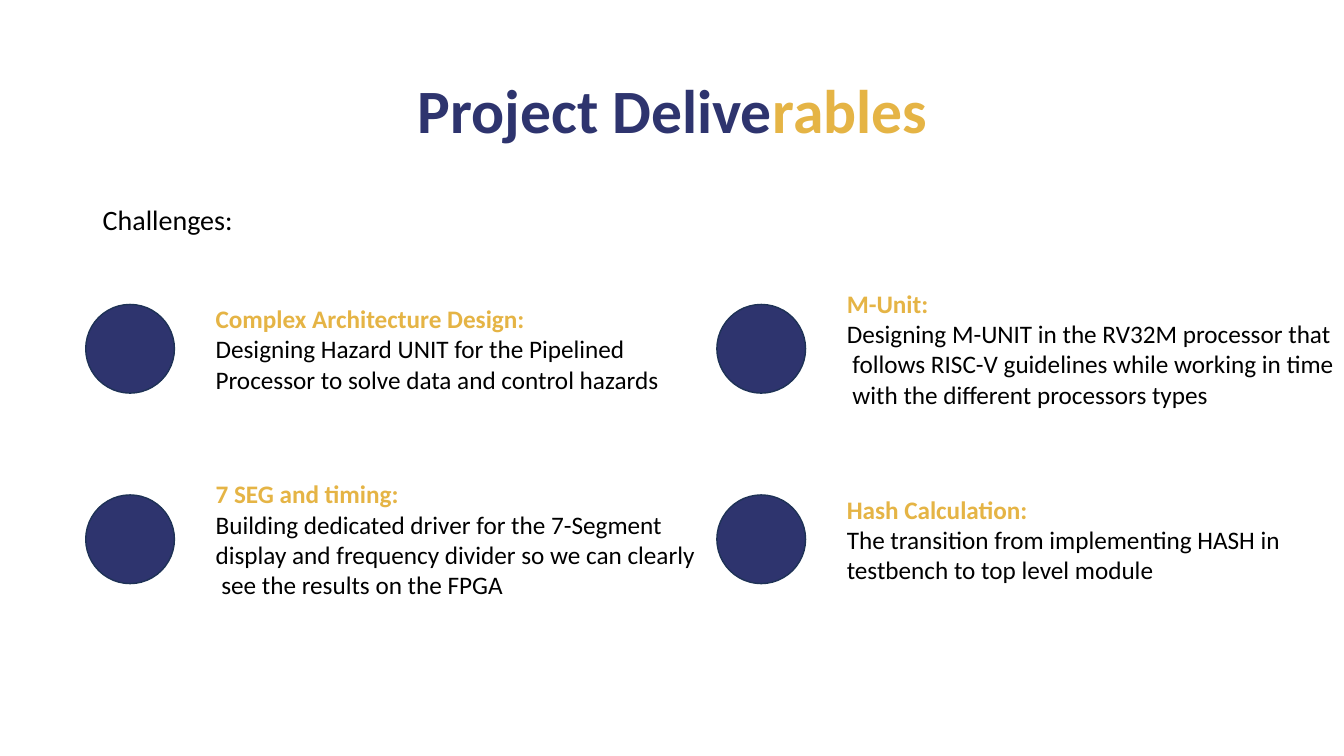
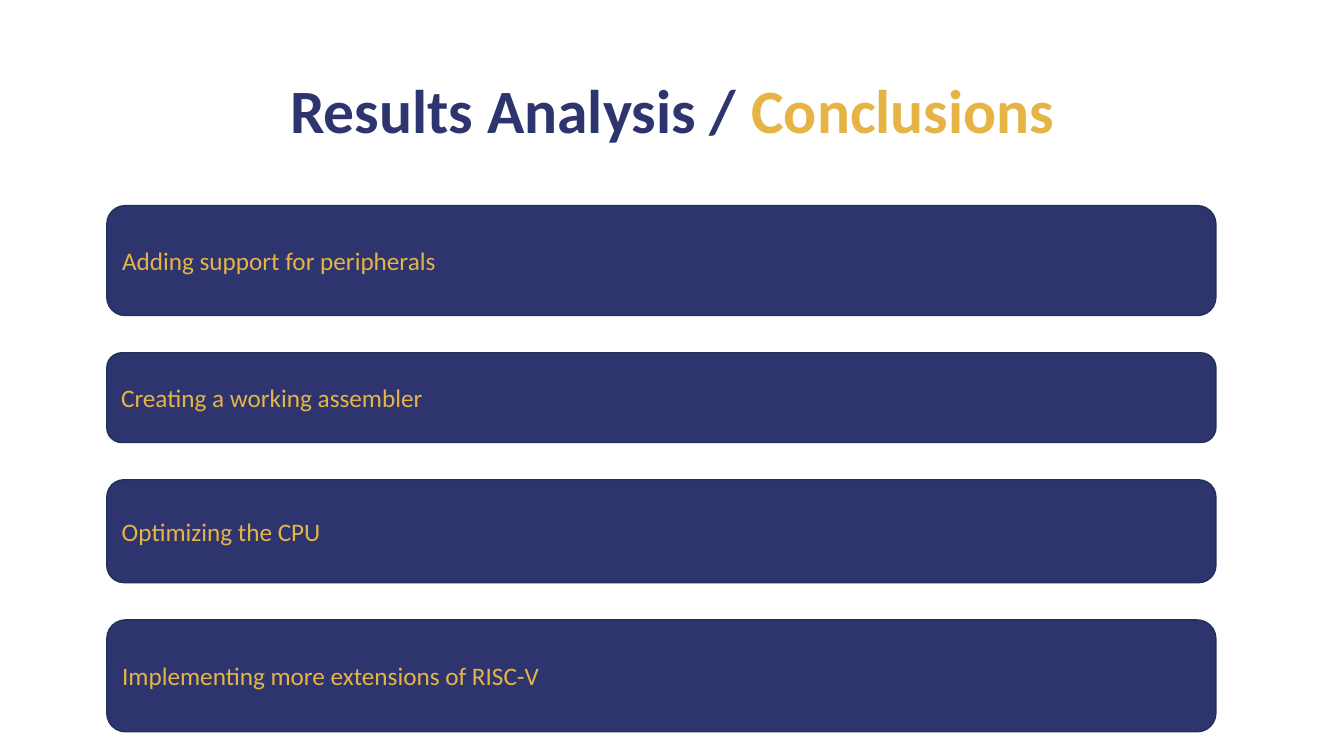
from dataclasses import dataclass

from pptx import Presentation
from pptx.dml.color import RGBColor
from pptx.enum.shapes import MSO_SHAPE
from pptx.enum.text import MSO_ANCHOR, PP_ALIGN
from pptx.shapes.autoshape import Shape
from pptx.slide import Slide
from pptx.text.text import TextFrame
from pptx.util import Inches, Pt

CIRCLE = MSO_SHAPE.OVAL
ROUNDED = MSO_SHAPE.ROUNDED_RECTANGLE
LEFT, CENTER = PP_ALIGN.LEFT, PP_ALIGN.CENTER
TOP, MIDDLE = MSO_ANCHOR.TOP, MSO_ANCHOR.MIDDLE


@dataclass(frozen=True)
class Theme:
    font: str = "Calibri"
    navy: RGBColor = RGBColor(0x2E, 0x34, 0x6E)
    outline: RGBColor = RGBColor(0x1E, 0x32, 0x56)
    gold: RGBColor = RGBColor(0xE5, 0xB4, 0x45)
    black: RGBColor = RGBColor(0, 0, 0)
    title_size: int = 44
    intro_size: int = 20
    body_size: int = 18
    outline_width: int = 1
    tight_spacing: float = 0.9


THEME = Theme()


@dataclass(frozen=True)
class Box:
    left: float
    top: float
    width: float
    height: float


@dataclass(frozen=True)
class Span:
    text: str
    color: RGBColor
    size: int = THEME.body_size
    bold: bool = False


@dataclass(frozen=True)
class Challenge:
    column: int
    row: int
    heading: str
    lines: tuple[str, ...]


@dataclass(frozen=True)
class Conclusion:
    text: str
    height: float


TITLE_BOX = Box(0.92, 0.4, 11.5, 1.45)
INTRO_BOX = Box(0.92, 2, 11.5, 0.5)

CIRCLE_SIZE = 0.88
GRID_LEFT, GRID_TOP = 0.85, 3.02
COLUMN_STEP, ROW_STEP = 6.26, 1.89
CAPTION_OFFSET, CAPTION_WIDTH = 1.19, 5.02
CAPTION_PADDING, LINE_HEIGHT = 0.1, 0.3

BAR_LEFT, BAR_TOP, BAR_WIDTH, BAR_GAP = 1.06, 2.04, 11, 0.37

CHALLENGES = (
    Challenge(0, 0, "Complex Architecture Design:", (
        "Designing Hazard UNIT for the Pipelined",
        "Processor to solve data and control hazards",
    )),
    Challenge(0, 1, "7 SEG and timing:", (
        "Building dedicated driver for the 7-Segment",
        "display and frequency divider so we can clearly",
        " see the results on the FPGA",
    )),
    Challenge(1, 0, "M-Unit:", (
        "Designing M-UNIT in the RV32M processor that",
        " follows RISC-V guidelines while working in time",
        " with the different processors types",
    )),
    Challenge(1, 1, "Hash Calculation:", (
        "The transition from implementing HASH in",
        "testbench to top level module",
    )),
)

CONCLUSIONS = (
    Conclusion("Adding support for peripherals", 1.09),
    Conclusion("Creating a working assembler", 0.89),
    Conclusion("Optimizing the CPU", 1.02),
    Conclusion("Implementing more extensions of RISC-V", 1.11),
)


def write(frame: TextFrame, paragraphs: list[list[Span]], anchor: MSO_ANCHOR = MIDDLE,
          align: PP_ALIGN = LEFT, spacing: float = 1.0) -> None:
    frame.word_wrap = True
    frame.vertical_anchor = anchor
    for index, spans in enumerate(paragraphs):
        paragraph = frame.add_paragraph() if index else frame.paragraphs[0]
        paragraph.alignment = align
        paragraph.line_spacing = spacing
        for span in spans:
            run = paragraph.add_run()
            run.text = span.text
            run.font.name = THEME.font
            run.font.size = Pt(span.size)
            run.font.bold = span.bold
            run.font.color.rgb = span.color


def add_text(slide: Slide, box: Box) -> TextFrame:
    return slide.shapes.add_textbox(
        Inches(box.left), Inches(box.top), Inches(box.width), Inches(box.height)
    ).text_frame


def add_navy_shape(slide: Slide, kind: MSO_SHAPE, box: Box) -> Shape:
    shape = slide.shapes.add_shape(
        kind, Inches(box.left), Inches(box.top), Inches(box.width), Inches(box.height)
    )
    shape.shadow.inherit = False
    shape.fill.solid()
    shape.fill.fore_color.rgb = THEME.navy
    shape.line.color.rgb = THEME.outline
    shape.line.width = Pt(THEME.outline_width)
    return shape


def add_titled_slide(deck: Presentation, navy_part: str, gold_part: str) -> Slide:
    slide = deck.slides.add_slide(deck.slide_layouts[6])
    title = [
        Span(navy_part, THEME.navy, THEME.title_size, True),
        Span(gold_part, THEME.gold, THEME.title_size, True),
    ]
    write(add_text(slide, TITLE_BOX), [title], align=CENTER, spacing=THEME.tight_spacing)
    return slide


def add_challenge(slide: Slide, challenge: Challenge) -> None:
    left = GRID_LEFT + challenge.column * COLUMN_STEP
    top = GRID_TOP + challenge.row * ROW_STEP
    add_navy_shape(slide, CIRCLE, Box(left, top, CIRCLE_SIZE, CIRCLE_SIZE))

    height = CAPTION_PADDING + LINE_HEIGHT * (1 + len(challenge.lines))
    caption_top = top + (CIRCLE_SIZE - height) / 2
    caption = add_text(slide, Box(left + CAPTION_OFFSET, caption_top, CAPTION_WIDTH, height))
    caption.margin_right = Inches(0)
    heading = [Span(challenge.heading, THEME.gold, bold=True)]
    write(caption, [heading] + [[Span(line, THEME.black)] for line in challenge.lines])


def build_deliverables(deck: Presentation) -> None:
    slide = add_titled_slide(deck, "Project Delive", "rables")
    intro = [Span("Challenges:", THEME.black, THEME.intro_size)]
    write(add_text(slide, INTRO_BOX), [intro], anchor=TOP, spacing=THEME.tight_spacing)
    for challenge in CHALLENGES:
        add_challenge(slide, challenge)


def build_conclusions(deck: Presentation) -> None:
    slide = add_titled_slide(deck, "Results Analysis / ", "Conclusions")
    top = BAR_TOP
    for conclusion in CONCLUSIONS:
        bar = add_navy_shape(slide, ROUNDED, Box(BAR_LEFT, top, BAR_WIDTH, conclusion.height))
        write(bar.text_frame, [[Span(conclusion.text, THEME.gold)]])
        top += conclusion.height + BAR_GAP


def main() -> None:
    deck = Presentation()
    deck.slide_width = Inches(13.33)
    deck.slide_height = Inches(7.5)
    build_deliverables(deck)
    build_conclusions(deck)
    deck.save("out.pptx")


if __name__ == "__main__":
    main()
